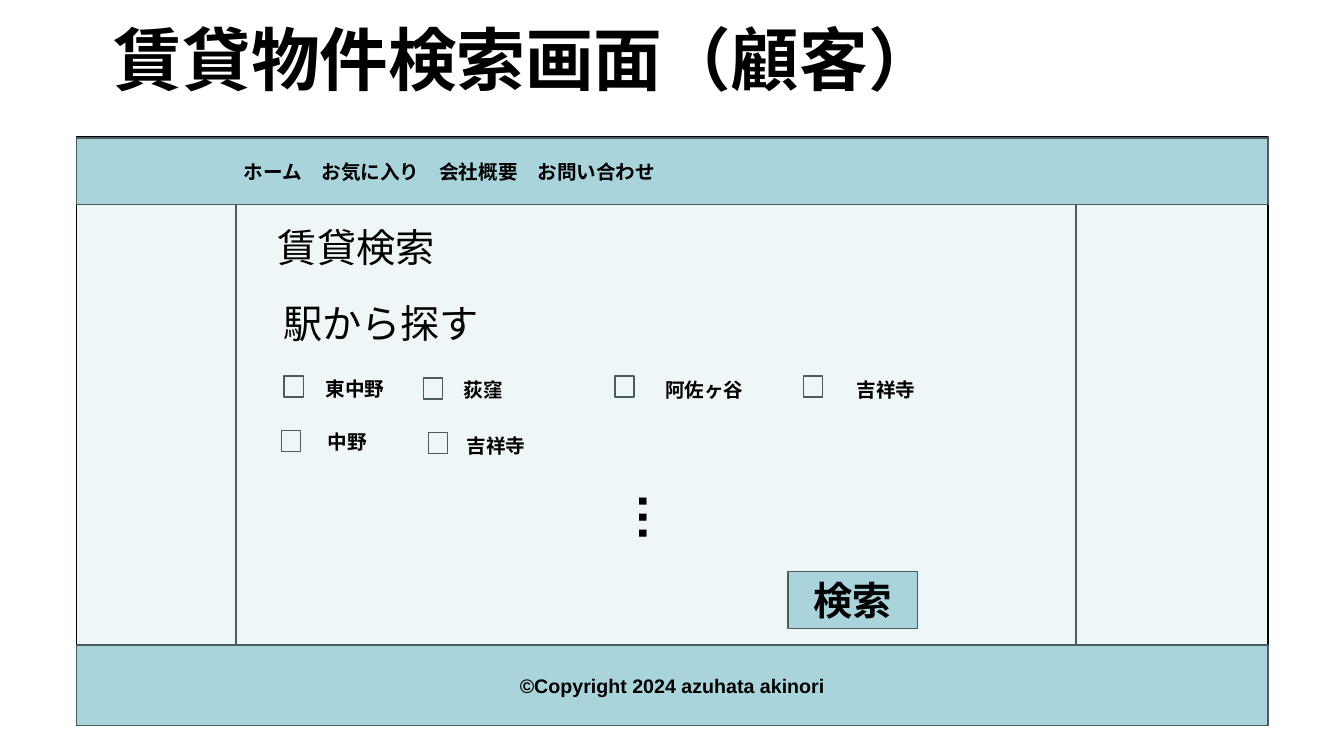
from dataclasses import dataclass

from pptx import Presentation
from pptx.dml.color import RGBColor
from pptx.enum.shapes import MSO_SHAPE
from pptx.enum.text import MSO_ANCHOR, MSO_AUTO_SIZE, PP_ALIGN
from pptx.util import Pt

RECT = MSO_SHAPE.RECTANGLE
TOP, MIDDLE, BOTTOM = MSO_ANCHOR.TOP, MSO_ANCHOR.MIDDLE, MSO_ANCHOR.BOTTOM
LEFT, CENTER = PP_ALIGN.LEFT, PP_ALIGN.CENTER
GROW, FIXED = MSO_AUTO_SIZE.SHAPE_TO_FIT_TEXT, MSO_AUTO_SIZE.NONE

# Content
TITLE = "賃貸物件検索画面（顧客）"
NAV = ["ホーム", "お気に入り", "会社概要", "お問い合わせ"]
COPYRIGHT = "©Copyright 2024 azuhata akinori"
HEADINGS = [("賃貸検索", 191.5, 156.2), ("駅から探す", 195.1, 210.2)]
# station, checkbox left and top, label left, top and width
STATIONS = [
    ("東中野", 203, 268.6, 225.4, 265.7, 59),
    ("荻窪", 302.4, 270, 324, 266.4, 59),
    ("阿佐ヶ谷", 439.2, 268.6, 468, 266.4, 85),
    ("吉祥寺", 573.8, 268.6, 604.8, 266.4, 59),
    ("中野", 200.9, 307.4, 226.8, 303.8, 59),
    ("吉祥寺", 306, 308.9, 326.2, 306.7, 81.4),
]
MORE = "…"
BUTTON = "検索"


@dataclass(frozen=True)
class Theme:
    font: str = "Arial"
    ink: RGBColor = RGBColor(0x00, 0x00, 0x00)
    band: RGBColor = RGBColor(0xA9, 0xD4, 0xDB)
    panel: RGBColor = RGBColor(0xEE, 0xF6, 0xF8)
    border: RGBColor = RGBColor(0x4A, 0x5C, 0x5F)
    title: int = 49
    more: int = 36
    heading: int = 28
    body: int = 14


T = Theme()

# Layout: a page frame with header, centred panel and footer
PAGE_X, PAGE_Y, PAGE_W, PAGE_H = 54.7, 97.9, 851, 420.5
HEADER_Y, HEADER_H, FOOTER_H = 98.6, 47.5, 57.6
PANEL_W = 600
PANEL_X = PAGE_X + (PAGE_W - PANEL_W) / 2 - 11.7
PANEL_Y = HEADER_Y + HEADER_H
FOOTER_Y = PAGE_Y + PAGE_H - FOOTER_H
NAV_INDENT = 8 * T.body
PAD_X, PAD_Y = 7.2, 3.6
BOX_W, BOX_H = 13.8, 15.1

prs = Presentation()
prs.slide_width, prs.slide_height = Pt(960), Pt(540)
slide = prs.slides.add_slide(prs.slide_layouts[5])


def write(s, text, size, bold=True, align=LEFT, anchor=TOP, pad=(PAD_X, PAD_Y),
          indent=0, fit=FIXED):
    tf = s.text_frame
    tf.word_wrap, tf.auto_size, tf.vertical_anchor = True, fit, anchor
    tf.margin_left, tf.margin_right = Pt(pad[0] + indent), Pt(pad[0])
    tf.margin_top = tf.margin_bottom = Pt(pad[1])
    p = tf.paragraphs[0]
    p.alignment = align
    r = p.add_run()
    r.text = text
    r.font.name, r.font.size, r.font.bold = T.font, Pt(size), bold
    r.font.color.rgb = T.ink
    return p


def rect(x, y, w, h, fill=None, line=T.border):
    s = slide.shapes.add_shape(RECT, Pt(x), Pt(y), Pt(w), Pt(h))
    s.shadow.inherit = False
    if fill is None:
        s.fill.background()
    else:
        s.fill.solid()
        s.fill.fore_color.rgb = fill
    s.line.color.rgb, s.line.width = line, Pt(1)
    return s


def textbox(x, y, w, h):
    return slide.shapes.add_textbox(Pt(x), Pt(y), Pt(w), Pt(h))


# Title
title = slide.shapes.title
title.left, title.top, title.width, title.height = Pt(81.4), Pt(21.6), Pt(669), Pt(50.4)
p = write(title, TITLE, T.title, anchor=BOTTOM, pad=(0, 0))
p.line_spacing = 0.9

# Page frame, navigation bar, footer and search panel
rect(PAGE_X, PAGE_Y, PAGE_W, PAGE_H, T.panel, T.ink)
header = rect(PAGE_X, HEADER_Y, PAGE_W, HEADER_H, T.band)
write(header, "　".join(NAV), T.body, anchor=MIDDLE, indent=NAV_INDENT)
footer = rect(PAGE_X, FOOTER_Y, PAGE_W, FOOTER_H, T.band)
write(footer, COPYRIGHT, T.body, align=CENTER, anchor=MIDDLE)
rect(PANEL_X, PANEL_Y, PANEL_W, FOOTER_Y - PANEL_Y, T.panel)

# Headings
for text, x, y in HEADINGS:
    write(textbox(x, y, 192.2, 40.3), text, T.heading, bold=False, fit=GROW)

# Station checkboxes with labels
for name, box_x, box_y, x, y, w in STATIONS:
    rect(box_x, box_y, BOX_W, BOX_H)
    write(textbox(x, y, w, 23.8), name, T.body, fit=GROW)

# Vertical ellipsis
more = textbox(437.8, 344.9, 58.3, 66.2)
write(more, MORE, T.more, pad=(PAD_Y, PAD_X))
more.element.txBody.bodyPr.set("vert", "vert")

# Search button
button = rect(563, 408.2, 92.2, 41, T.band)
write(button, BUTTON, T.heading, align=CENTER, anchor=MIDDLE)

prs.save("out.pptx")
